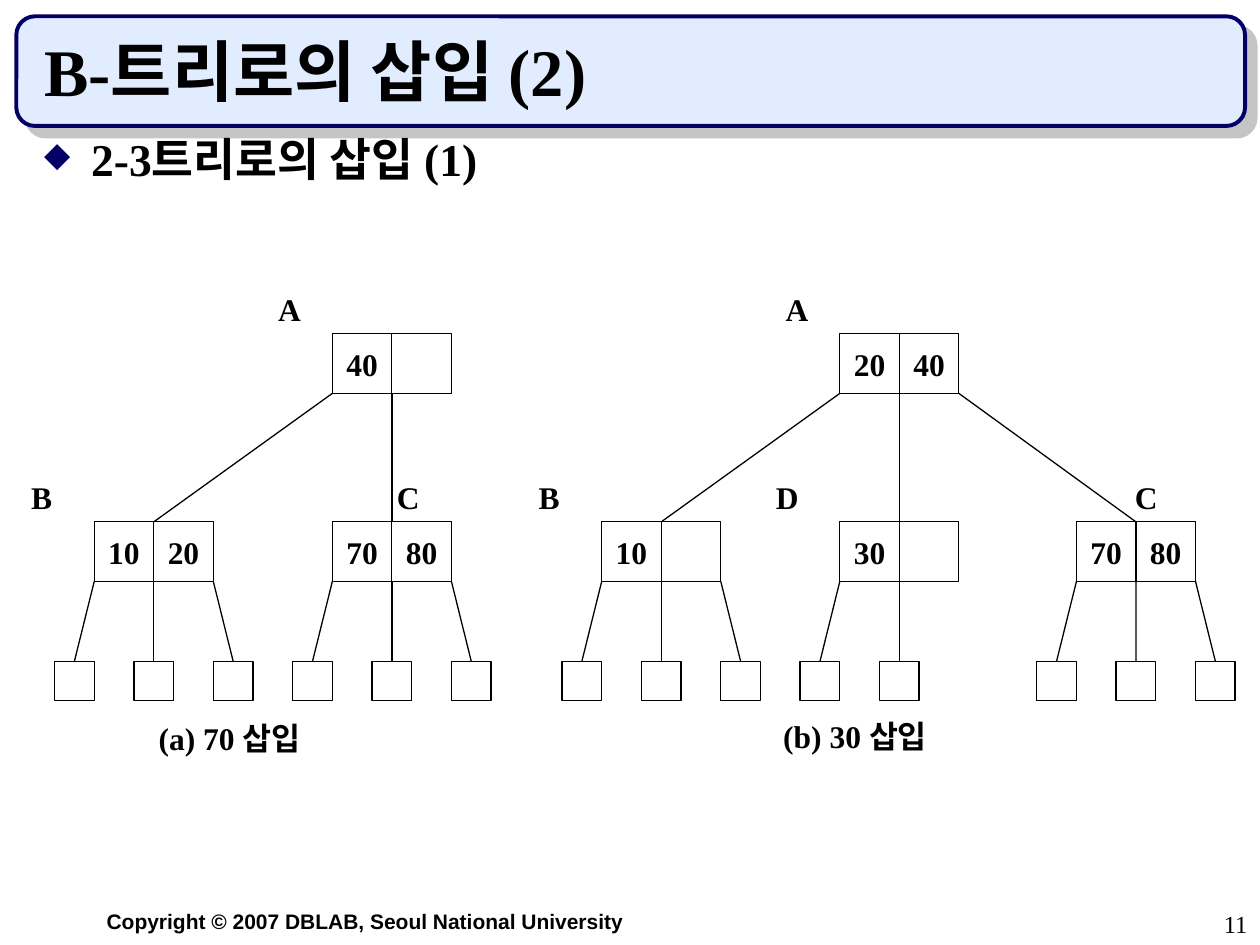
"""Build the slide on insertion into a 2-3 tree."""
from lxml import etree
from pptx import Presentation
from pptx.dml.color import RGBColor
from pptx.enum.shapes import MSO_CONNECTOR, MSO_SHAPE
from pptx.enum.text import MSO_ANCHOR, MSO_AUTO_SIZE, PP_ALIGN
from pptx.oxml import parse_xml
from pptx.oxml.ns import nsdecls, qn
from pptx.util import Cm, Pt

STRAIGHT = MSO_CONNECTOR.STRAIGHT
RECTANGLE, ROUNDED = MSO_SHAPE.RECTANGLE, MSO_SHAPE.ROUNDED_RECTANGLE
TOP, MIDDLE, BOTTOM = MSO_ANCHOR.TOP, MSO_ANCHOR.MIDDLE, MSO_ANCHOR.BOTTOM
LEFT, CENTER, RIGHT = PP_ALIGN.LEFT, PP_ALIGN.CENTER, PP_ALIGN.RIGHT
NO_AUTOFIT = MSO_AUTO_SIZE.NONE

COLORS = {"ink": "000000", "navy": "000066", "banner": "E1ECFF", "shadow": "B2B2B2"}
SERIF, SANS = "Times New Roman", "Arial"

TITLE = "B-트리로의 삽입 (2)"
HEADING = "2-3트리로의 삽입 (1)"
FOOTER = "Copyright © 2007 DBLAB, Seoul National University"
PAGE_NUMBER = "11"

# Placed below as name, keys, centre, label offset and number of leaves.
TREES = [
    {
        "root": ("A", ("40", ""), 7.9, -2.54),
        "children": [
            ("B", ("10", "20"), 3.1, -2.72, 3),
            ("C", ("70", "80"), 7.9, -0.15, 3),
        ],
        "root_exits": (-1, 0),
        "caption": ("(a) 70 삽입", 2.95, 14.38),
    },
    {
        "root": ("A", ("20", "40"), 18.13, -2.54),
        "children": [
            ("B", ("10", ""), 13.33, -2.72, 3),
            ("D", ("30", ""), 18.13, -2.74, 2),
            ("C", ("70", "80"), 22.9, -0.27, 3),
        ],
        "root_exits": (-1, 0, 1),
        "caption": ("(b) 30 삽입", 15.54, 14.33),
    },
]
ROOT_TOP, CHILD_TOP, LEAF_TOP = 6.73, 10.52, 13.33
CELL, LEAF, LEAF_PITCH = 1.2, 0.8, 1.6


def color(name):
    return RGBColor.from_string(COLORS[name])


def write(shape, text, size, align=LEFT, anchor=TOP, font=SERIF, bold=True, wrap=True):
    frame = shape.text_frame
    frame.text = text
    frame.word_wrap = wrap
    frame.auto_size = NO_AUTOFIT
    frame.vertical_anchor = anchor
    para = frame.paragraphs[0]
    para.alignment = align
    for span in para.runs:
        span.font.size = Pt(size)
        span.font.name = font
        span.font.bold = bold
        span.font.color.rgb = color("ink")
    return para


def add_text(page, text, left, top, width, height, size, **style):
    box = page.shapes.add_textbox(Cm(left), Cm(top), Cm(width), Cm(height))
    return write(box, text, size, **style)


def add_square(page, left, top, side):
    square = page.shapes.add_shape(RECTANGLE, Cm(left), Cm(top), Cm(side), Cm(side))
    square.shadow.inherit = False
    square.fill.background()
    square.line.color.rgb = color("ink")
    square.line.width = Pt(0.75)
    return square


def add_edge(page, start_x, start_y, end_x, end_y):
    edge = page.shapes.add_connector(
        STRAIGHT, Cm(start_x), Cm(start_y), Cm(end_x), Cm(end_y)
    )
    edge.line.color.rgb = color("ink")
    edge.line.width = Pt(0.75)
    etree.SubElement(edge._element.spPr, qn("a:effectLst"))
    return edge


def add_node(page, name, keys, center, label_offset, top):
    for index, key in enumerate(keys):
        cell = add_square(page, center + (index - 1) * CELL, top, CELL)
        if key:
            write(cell, key, 18, align=CENTER, anchor=MIDDLE, wrap=False)
    add_text(page, name, center + label_offset, top - 1, 2.85, 1, 18)


def add_tree(page, tree):
    add_node(page, *tree["root"], ROOT_TOP)
    root_center = tree["root"][2]
    for child, side in zip(tree["children"], tree["root_exits"]):
        name, keys, center, label_offset, leaf_count = child
        add_node(page, name, keys, center, label_offset, CHILD_TOP)
        add_edge(page, root_center + side * CELL, ROOT_TOP + CELL, center, CHILD_TOP)
        for slot in range(-1, leaf_count - 1):
            leaf_center = center + slot * LEAF_PITCH
            leaf = add_square(page, leaf_center - LEAF / 2, LEAF_TOP, LEAF)
            edge = add_edge(
                page, center + slot * CELL, CHILD_TOP + CELL, leaf_center, LEAF_TOP
            )
            edge.end_connect(leaf, 0)
    text, left, top = tree["caption"]
    add_text(page, text, left, top, 5.3, 1, 18)


def add_banner(page):
    banner = page.shapes.add_shape(ROUNDED, Cm(0.33), Cm(0.33), Cm(24.77), Cm(2.21))
    banner.adjustments[0] = 0.17
    banner.fill.solid()
    banner.fill.fore_color.rgb = color("banner")
    banner.line.color.rgb = color("navy")
    banner.line.width = Pt(2.25)
    banner._element.spPr.append(parse_xml(
        f'<a:effectLst {nsdecls("a")}>'
        f'<a:outerShdw dist="{Pt(8.5)}" dir="2700000" algn="ctr" rotWithShape="0">'
        f'<a:srgbClr val="{COLORS["shadow"]}"><a:alpha val="75000"/></a:srgbClr>'
        "</a:outerShdw></a:effectLst>"
    ))
    page.shapes.title._element.addprevious(banner._element)


def add_title(page):
    title = page.shapes.title
    title.left, title.top, title.width, title.height = (
        Cm(0.64), Cm(0.64), Cm(23.93), Cm(1.7)
    )
    write(title, TITLE, 38, anchor=BOTTOM)


def add_heading(page):
    para = add_text(page, HEADING, 0.64, 2.74, 23.93, 1.57, 26)
    properties = para._p.get_or_add_pPr()
    properties.set("marL", str(Cm(0.95)))
    properties.set("indent", str(-Cm(0.95)))
    bullet_color = etree.SubElement(properties, qn("a:buClr"))
    etree.SubElement(bullet_color, qn("a:srgbClr"), val=COLORS["navy"])
    etree.SubElement(properties, qn("a:buSzPct"), val="75000")
    etree.SubElement(properties, qn("a:buChar"), char="◆")
    para.line_spacing = 0.8


def main():
    deck = Presentation()
    deck.slide_width, deck.slide_height = Cm(25.4), Cm(19.05)
    page = deck.slides.add_slide(deck.slide_layouts[5])
    add_banner(page)
    add_title(page)
    add_heading(page)
    for tree in TREES:
        add_tree(page, tree)
    add_text(page, FOOTER, 1.9, 18.2, 11, 0.76, 12, font=SANS)
    add_text(page, PAGE_NUMBER, 20.12, 18.2, 5.28, 0.85, 14, align=RIGHT, bold=False)
    deck.save("out.pptx")


if __name__ == "__main__":
    main()
